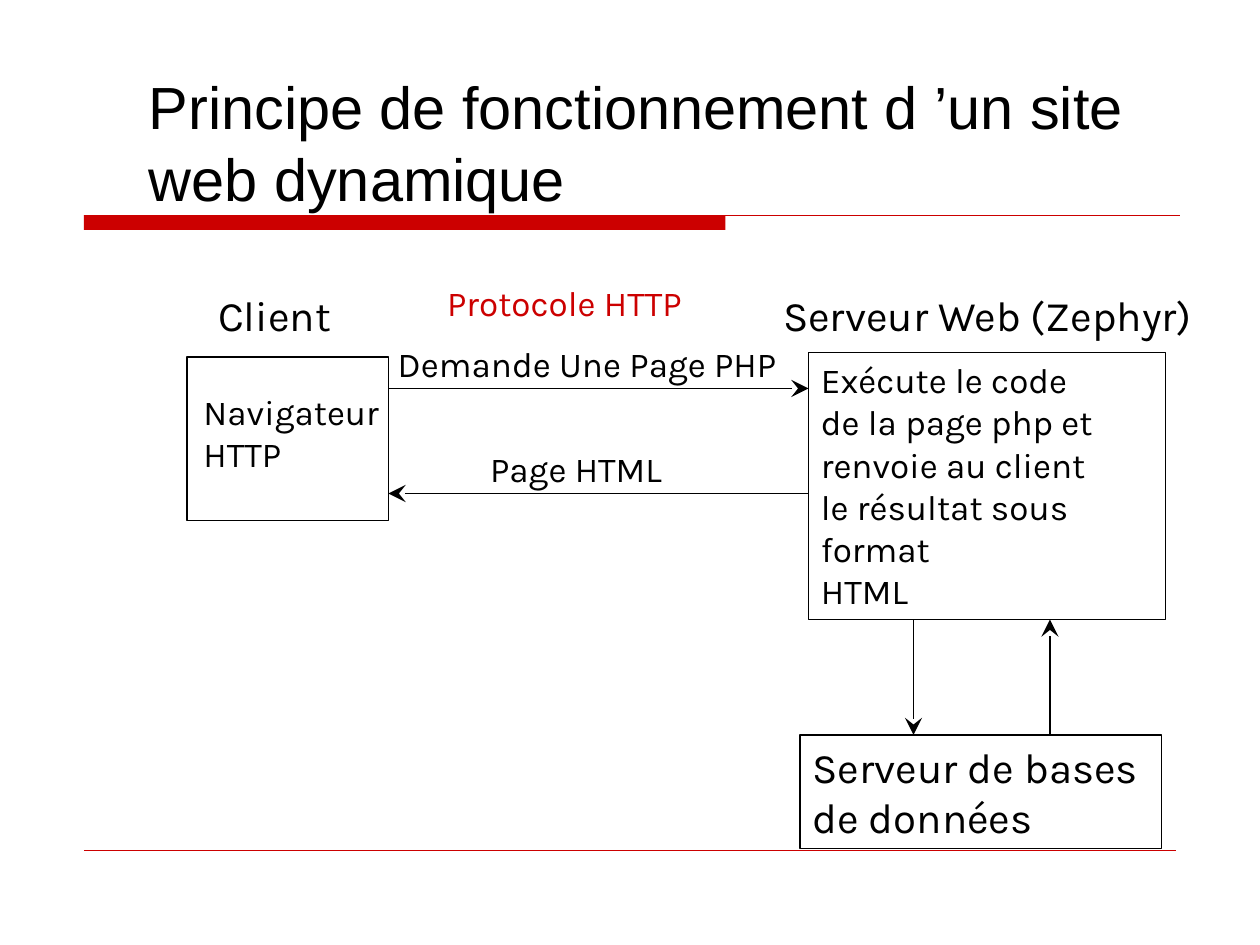
from dataclasses import dataclass

from lxml import etree
from pptx import Presentation
from pptx.dml.color import RGBColor
from pptx.enum.shapes import MSO_CONNECTOR, MSO_SHAPE
from pptx.enum.text import MSO_ANCHOR, PP_ALIGN
from pptx.oxml.ns import qn
from pptx.util import Inches, Pt

STRAIGHT = MSO_CONNECTOR.STRAIGHT
RECTANGLE = MSO_SHAPE.RECTANGLE
TOP, MIDDLE = MSO_ANCHOR.TOP, MSO_ANCHOR.MIDDLE
LEFT = PP_ALIGN.LEFT

COLORS = {"ink": "000000", "accent": "CC0000"}
WIDTH, HEIGHT = Inches(10), Inches(7.5)
COLUMNS, ROWS = 120, 90
TITLE_FONT, BODY_FONT = "Arial", "Karla"
BODY_SIZE, HEADING_SIZE, TITLE_SIZE = 20, 24, 34


@dataclass(frozen=True)
class Area:
    column: float
    row: float
    columns: float
    rows: float


@dataclass(frozen=True)
class Label:
    area: Area
    text: str
    size: int = BODY_SIZE
    color: str = "ink"
    font: str = BODY_FONT
    wrap: bool = False
    anchor: MSO_ANCHOR = TOP


@dataclass(frozen=True)
class Block:
    area: Area
    text: str = ""
    size: int = BODY_SIZE


@dataclass(frozen=True)
class Line:
    start: tuple[float, float]
    end: tuple[float, float]
    color: str = "ink"
    weight: float = 0.75
    arrow: bool = True


CLIENT = Area(17.8, 34, 19.2, 15.6)
SERVER = Area(77, 33.6, 34, 25.4)
DATABASE = Area(76.2, 70, 34.4, 10.8)
CLIENT_RIGHT = CLIENT.column + CLIENT.columns
SERVER_BOTTOM = SERVER.row + SERVER.rows
BAR = Area(8, 20.5, 61.1, 1.4)

RULES = [
    Line((BAR.column, BAR.row), (112.4, BAR.row), "accent", arrow=False),
    Line((BAR.column, 81), (112, 81), "accent", 0.25, False),
]
BLOCKS = [
    Block(CLIENT),
    Block(
        SERVER,
        "Exécute le code\nde la page php et\nrenvoie au client\n"
        "le résultat sous format\nHTML",
    ),
    Block(DATABASE, "Serveur de bases\nde données", HEADING_SIZE),
]
ARROWS = [
    Line((CLIENT_RIGHT, 37), (SERVER.column, 37)),
    Line((SERVER.column, 47), (CLIENT_RIGHT, 47)),
    Line((87, SERVER_BOTTOM), (87, DATABASE.row)),
    Line((100, DATABASE.row), (100, SERVER_BOTTOM)),
]
LABELS = [
    Label(
        Area(13, 6, 102, 15),
        "Principe de fonctionnement d ’un site web dynamique",
        TITLE_SIZE, font=TITLE_FONT, wrap=True, anchor=MIDDLE,
    ),
    Label(Area(19.6, 27, 13.1, 6), "Client", HEADING_SIZE),
    Label(Area(73.4, 27, 43.7, 6), "Serveur Web (Zephyr)", HEADING_SIZE),
    Label(Area(41.4, 26.2, 26.5, 5.3), "Protocole HTTP", color="accent"),
    Label(Area(36.7, 32, 41, 5.3), "Demande Une Page PHP"),
    Label(Area(45.5, 42, 20.2, 5.3), "Page HTML"),
    Label(Area(18.2, 36.6, 19.8, 9.2), "Navigateur\nHTTP"),
]


def color_of(name: str) -> RGBColor:
    return RGBColor.from_string(COLORS[name])


def across(columns: float) -> int:
    return round(WIDTH * columns / COLUMNS)


def down(rows: float) -> int:
    return round(HEIGHT * rows / ROWS)


def frame_of(area: Area) -> tuple[int, int, int, int]:
    return (across(area.column), down(area.row),
            across(area.columns), down(area.rows))


def write_text(box, label: Label) -> None:
    frame = box.text_frame
    frame.text = label.text
    frame.word_wrap = label.wrap
    frame.vertical_anchor = label.anchor
    for para in frame.paragraphs:
        para.alignment = LEFT
        for span in para.runs:
            span.font.name = label.font
            span.font.size = Pt(label.size)
            span.font.color.rgb = color_of(label.color)


def draw_label(page, label: Label) -> None:
    write_text(page.shapes.add_textbox(*frame_of(label.area)), label)


def draw_bar(page, area: Area) -> None:
    bar = page.shapes.add_shape(RECTANGLE, *frame_of(area))
    bar.shadow.inherit = False
    bar.fill.solid()
    bar.fill.fore_color.rgb = color_of("accent")
    bar.line.fill.background()


def draw_block(page, block: Block) -> None:
    box = page.shapes.add_shape(RECTANGLE, *frame_of(block.area))
    box.shadow.inherit = False
    box.fill.background()
    box.line.color.rgb = color_of("ink")
    box.line.width = Pt(0.75)
    if block.text:
        write_text(box, Label(block.area, block.text, block.size, wrap=True))


def draw_line(page, line: Line) -> None:
    (x1, y1), (x2, y2) = line.start, line.end
    connector = page.shapes.add_connector(
        STRAIGHT, across(x1), down(y1), across(x2), down(y2))
    connector.line.color.rgb = color_of(line.color)
    connector.line.width = Pt(line.weight)
    properties = connector._element.spPr
    etree.SubElement(properties, qn("a:effectLst"))
    if line.arrow:
        outline = properties.find(qn("a:ln"))
        etree.SubElement(outline, qn("a:tailEnd"),
                         type="stealth", w="lg", len="lg")


def main() -> None:
    deck = Presentation()
    deck.slide_width, deck.slide_height = WIDTH, HEIGHT
    page = deck.slides.add_slide(deck.slide_layouts[6])
    draw_bar(page, BAR)
    for block in BLOCKS:
        draw_block(page, block)
    for line in RULES + ARROWS:
        draw_line(page, line)
    for label in LABELS:
        draw_label(page, label)
    deck.save("out.pptx")


if __name__ == "__main__":
    main()
